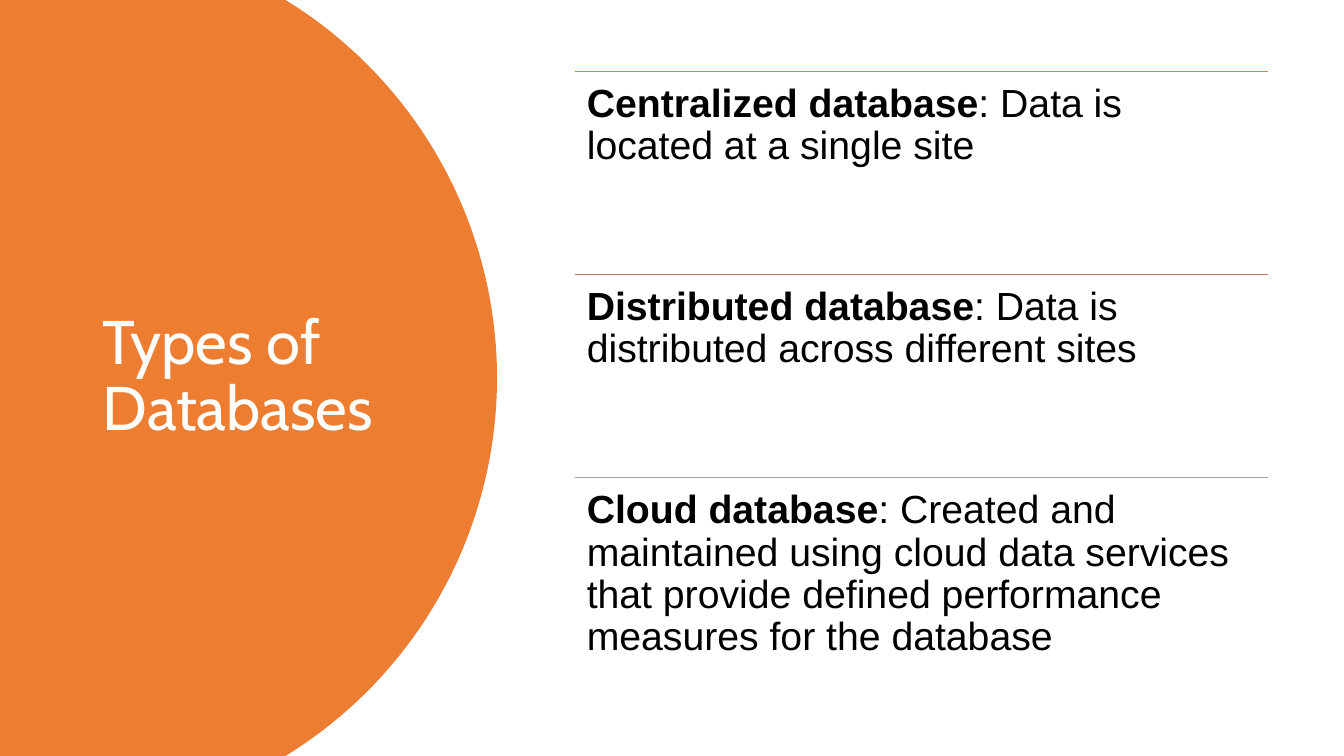
from math import asin, cos, sin
from typing import NamedTuple

from lxml import etree
from pptx import Presentation
from pptx.dml.color import RGBColor
from pptx.enum.shapes import MSO_CONNECTOR
from pptx.enum.text import MSO_ANCHOR, MSO_AUTO_SIZE, PP_ALIGN
from pptx.oxml.ns import qn
from pptx.slide import Slide
from pptx.util import Inches, Pt

ORANGE = RGBColor(0xED, 0x7D, 0x31)
ROSE = RGBColor(0xC4, 0x7F, 0x6E)
GRAY = RGBColor(0xA3, 0xA3, 0xA3)
WHITE = RGBColor(0xFF, 0xFF, 0xFF)
BLACK = RGBColor(0, 0, 0)

WIDTH, HEIGHT = 13.33, 7.5
RADIUS, CENTER_X, CENTER_Y = 4.4, 0.53, HEIGHT / 2
ARC_STEPS = 120
LIST_LEFT, LIST_TOP, LIST_WIDTH, ROW_HEIGHT = 5.7, 0.71, 6.88, 2.015


class DatabaseType(NamedTuple):
    name: str
    description: str
    color: RGBColor


DATABASE_TYPES = [
    DatabaseType("Centralized database", ": Data is located at a single site", ORANGE),
    DatabaseType("Distributed database", ": Data is distributed across different sites", ROSE),
    DatabaseType("Cloud database", ": Created and maintained using cloud data services "
                 "that provide defined performance measures for the database", GRAY),
]


def add_panel(s: Slide) -> None:
    """Draw the left panel, whose right edge is a circular arc."""
    half_angle = asin(CENTER_Y / RADIUS)
    angles = [half_angle * (2 * i / ARC_STEPS - 1) for i in range(ARC_STEPS + 1)]
    arc = [(Inches(CENTER_X + RADIUS * cos(a)), Inches(CENTER_Y + RADIUS * sin(a)))
           for a in angles]
    builder = s.shapes.build_freeform(0, 0)
    builder.add_line_segments(arc + [(0, Inches(HEIGHT))], close=True)
    panel = builder.convert_to_shape()
    panel.shadow.inherit = False
    panel.fill.solid()
    panel.fill.fore_color.rgb = ORANGE
    panel.line.fill.background()


def add_title(s: Slide, text: str) -> None:
    title = s.shapes.title
    title.element.getparent().append(title.element)  # in front of the panel
    title.left, title.top = Inches(0.92), Inches(0.7)
    title.width, title.height = Inches(3.23), Inches(6.09)
    tf = title.text_frame
    tf.word_wrap = True
    tf.auto_size = MSO_AUTO_SIZE.NONE
    tf.vertical_anchor = MSO_ANCHOR.MIDDLE
    p = tf.paragraphs[0]
    p.alignment = PP_ALIGN.LEFT
    p.line_spacing = 0.9
    r = p.add_run()
    r.text = text
    r.font.name, r.font.size = "Cabin", Pt(44)
    r.font.color.rgb = WHITE


def add_database_type(s: Slide, item: DatabaseType, top: float) -> None:
    x, y, width = Inches(LIST_LEFT), Inches(top), Inches(LIST_WIDTH)
    rule = s.shapes.add_connector(MSO_CONNECTOR.STRAIGHT, x, y, x + width, y)
    rule.line.color.rgb = item.color
    rule.line.width = Pt(1)
    etree.SubElement(rule.element.spPr, qn("a:effectLst"))

    tf = s.shapes.add_textbox(x, y, width, Inches(ROW_HEIGHT)).text_frame
    tf.word_wrap = True
    tf.margin_left = tf.margin_right = tf.margin_top = tf.margin_bottom = Inches(0.12)
    p = tf.paragraphs[0]
    p.line_spacing = 0.9
    for text, bold in ((item.name, True), (item.description, False)):
        r = p.add_run()
        r.text = text
        r.font.name, r.font.size, r.font.bold = "Arial", Pt(28), bold
        r.font.color.rgb = BLACK


def main() -> None:
    prs = Presentation()
    prs.slide_width, prs.slide_height = Inches(WIDTH), Inches(HEIGHT)
    s = prs.slides.add_slide(prs.slide_layouts.get_by_name("Title Only"))
    add_panel(s)
    add_title(s, "Types of Databases")
    for i, item in enumerate(DATABASE_TYPES):
        add_database_type(s, item, LIST_TOP + i * ROW_HEIGHT)
    prs.save("out.pptx")


if __name__ == "__main__":
    main()
